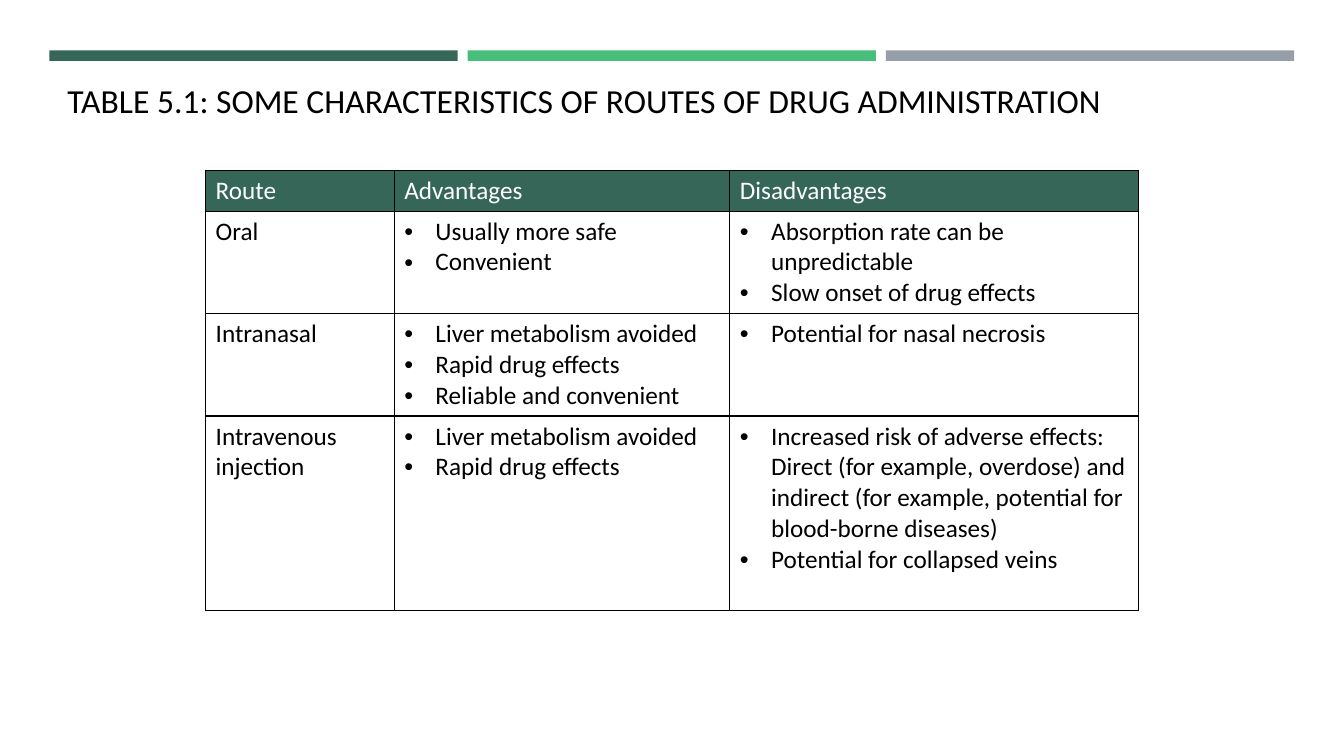
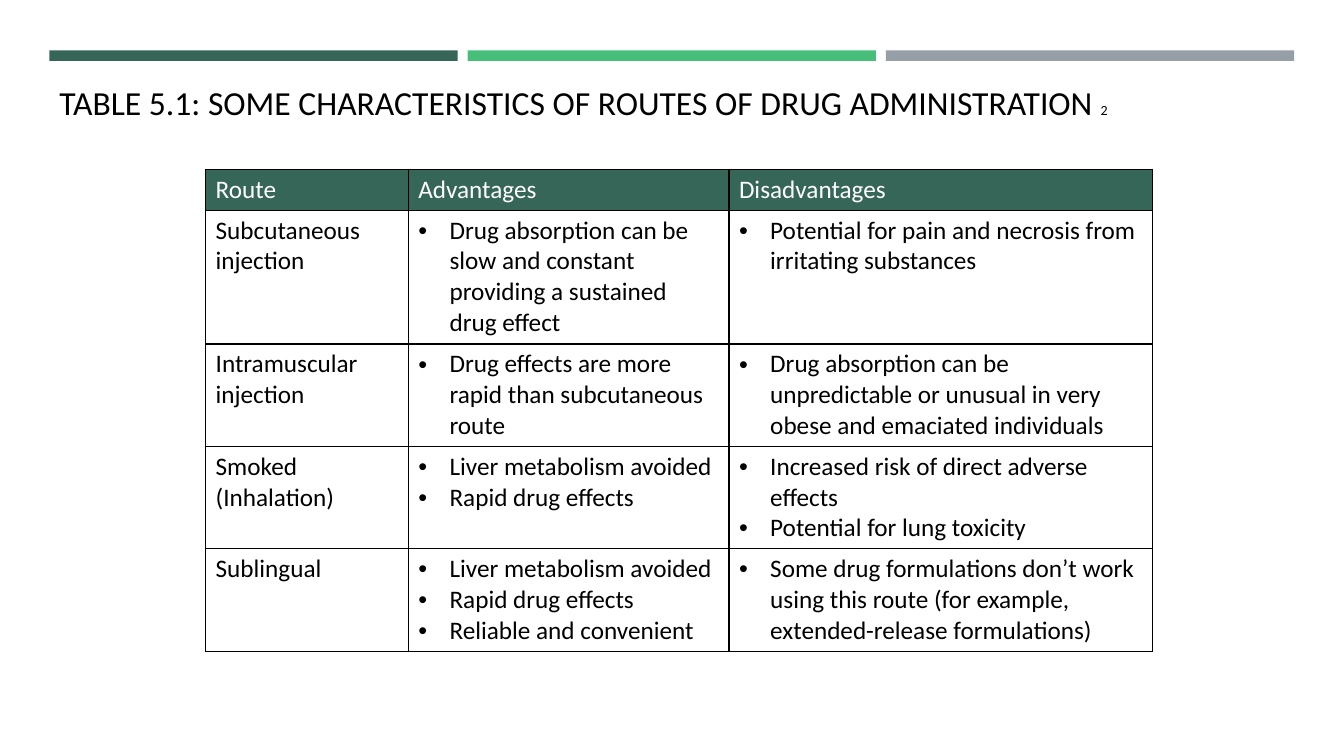
"""Build two slides that tabulate routes of drug administration."""
from lxml import etree
from pptx import Presentation, util as u
from pptx.dml.color import RGBColor as Rgb
from pptx.enum import shapes, text
from pptx.oxml import ns


class Theme:
    dark = Rgb.from_string("366658")
    green = Rgb.from_string("47BE7A")
    gray = Rgb.from_string("969FA7")
    ink = Rgb.from_string("000000")
    white = Rgb.from_string("FFFFFF")
    font = "Calibri"
    head, body, small = u.Pt(24), u.Pt(18), u.Pt(10)
    rule = u.Pt(1)
    indent = u.Inches(0.31)


def style(run, size, color):
    run.font.name, run.font.size = Theme.font, size
    run.font.color.rgb = color


def node(base, tag, **attrs):
    item = etree.SubElement(base, ns.qn(tag))
    for key, val in attrs.items():
        item.set(key, str(val))
    return item


title = "TABLE 5.1: SOME CHARACTERISTICS OF ROUTES OF DRUG ADMINISTRATION"
heads = ["Route", ["Advantages"], ["Disadvantages"]]
liver = ["Liver metabolism avoided", "Rapid drug effects"]
easy = liver + ["Reliable and convenient"]
pages = [
    dict(
        parts=[title], spot=(4.28, 8.27), top=22.53,
        cols=[14.03, 24.98, 30.38], rows=[5.4, 13.55, 13.55, 25.75],
        data=[
            heads,
            ["Oral", ["Usually more safe", "Convenient"],
             ["Absorption rate can be unpredictable",
              "Slow onset of drug effects"]],
            ["Intranasal", easy, ["Potential for nasal necrosis"]],
            ["Intravenous injection", liver,
             ["Increased risk of adverse effects: Direct (for example, "
              "overdose) and indirect (for example, potential for "
              "blood-borne diseases)",
              "Potential for collapsed veins"]],
        ],
    ),
    dict(
        parts=[title + " ", "2"], spot=(3.68, 8.53), top=22.4,
        cols=[15.08, 23.86, 31.51], rows=[5.4, 17.7, 13.55, 13.55, 13.55],
        data=[
            heads,
            ["Subcutaneous injection",
             ["Drug absorption can be slow and constant providing a "
              "sustained drug effect"],
             ["Potential for pain and necrosis from irritating substances"]],
            ["Intramuscular injection",
             ["Drug effects are more rapid than subcutaneous route"],
             ["Drug absorption can be unpredictable or unusual in very "
              "obese and emaciated individuals"]],
            ["Smoked (Inhalation)", liver,
             ["Increased risk of direct adverse effects",
              "Potential for lung toxicity"]],
            ["Sublingual", easy,
             ["Some drug formulations don’t work using this route (for "
              "example, extended-release formulations)"]],
        ],
    ),
]

deck = Presentation()
deck.slide_width, deck.slide_height = u.Inches(13.33), u.Inches(7.5)
col, row = deck.slide_width / 100, deck.slide_height / 100

for page in pages:
    slide = deck.slides.add_slide(deck.slide_layouts[6])

    for i, color in enumerate([Theme.dark, Theme.green, Theme.gray]):
        band = slide.shapes.add_shape(
            shapes.MSO_SHAPE.RECTANGLE, int((3.68 + 31.12 * i) * col),
            int(6.67 * row), int(30.38 * col), int(1.4 * row))
        band.shadow.inherit = False
        band.fill.solid()
        band.fill.fore_color.rgb = color
        band.line.fill.background()

    left, top = page["spot"]
    box = slide.shapes.add_textbox(
        int(left * col), int(top * row), int(92.5 * col), int(9.87 * row))
    frame = box.text_frame
    frame.word_wrap = True
    frame.vertical_anchor = text.MSO_ANCHOR.MIDDLE
    for part, size in zip(page["parts"], [Theme.head, Theme.small]):
        run = frame.paragraphs[0].add_run()
        run.text = part
        style(run, size, Theme.ink)

    data, cols, rows = page["data"], page["cols"], page["rows"]
    table = slide.shapes.add_table(
        len(rows), len(cols), int(15.3 * col), int(page["top"] * row),
        int(sum(cols) * col), int(sum(rows) * row)).table
    table.first_row = table.horz_banding = False
    for c, wide in enumerate(cols):
        table.columns[c].width = int(wide * col)
    for r, tall in enumerate(rows):
        table.rows[r].height = int(tall * row)
        for c, entry in enumerate(data[r]):
            cell = table.cell(r, c)
            props = cell._tc.get_or_add_tcPr()
            for side in "LRTB":
                edge = node(props, "a:ln" + side, w=int(Theme.rule))
                node(node(edge, "a:solidFill"), "a:srgbClr", val=Theme.ink)
            if r == 0:
                cell.fill.solid()
                cell.fill.fore_color.rgb = Theme.dark
            else:
                cell.fill.background()
            cell.text_frame.text = entry if c == 0 else "\n".join(entry)
            for para in cell.text_frame.paragraphs:
                if r and c:
                    props = para._p.get_or_add_pPr()
                    props.set("marL", str(int(Theme.indent)))
                    props.set("indent", str(-int(Theme.indent)))
                    node(props, "a:buFont", typeface="Arial")
                    node(props, "a:buChar", char="•")
                style(para.runs[0], Theme.body, Theme.ink if r else Theme.white)

deck.save("out.pptx")
